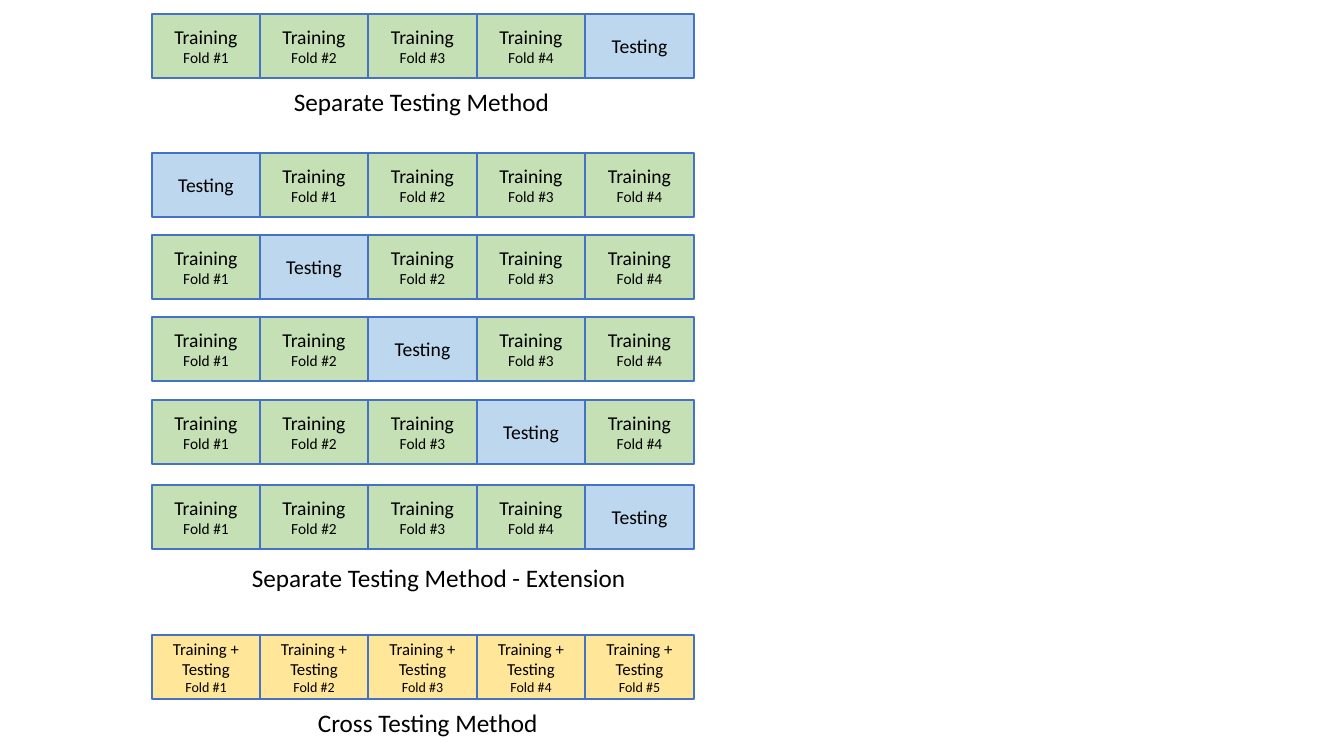
from pptx import Presentation
from pptx import util as u
from pptx.dml.color import RGBColor
from pptx.enum import shapes, text

GREEN, BLUE, YELLOW = "C5E0B4", "BDD7EE", "FFE699"
LEFT, ROW_WIDTH, ROW_HEIGHT, FOLDS = 152, 542, 64, 5


def px(n):
    return u.Emu(round(n * 914400 / 100.8))


def style(p, size):
    p.font.name = "Calibri"
    p.font.size = u.Pt(size)
    p.font.color.rgb = RGBColor.from_string("000000")


prs = Presentation()
prs.slide_width, prs.slide_height = px(1344), px(756)
s = prs.slides.add_slide(prs.slide_layouts[6])

rows = [(14, 4), (153, 0), (235, 1), (317, 2), (400, 3), (485, 4), (635, None)]
for top, test in rows:
    row = s.shapes.add_group_shape()
    fold = 0
    for i in range(FOLDS):
        if i == test:
            color, lines = BLUE, [("Testing", 14)]
        else:
            fold += 1
            if test is None:
                color, lines = YELLOW, [("Training + Testing", 12), (f"Fold #{fold}", 10)]
            else:
                color, lines = GREEN, [("Training", 14), (f"Fold #{fold}", 11)]
        x, right = [LEFT + ROW_WIDTH * k // FOLDS for k in (i, i + 1)]
        sp = row.shapes.add_shape(shapes.MSO_SHAPE.RECTANGLE,
                                  px(x), px(top), px(right - x), px(ROW_HEIGHT))
        sp.shadow.inherit = False
        sp.fill.solid()
        sp.fill.fore_color.rgb = RGBColor.from_string(color)
        sp.line.color.rgb = RGBColor.from_string("4472C4")
        sp.line.width = u.Pt(1)
        tf = sp.text_frame
        tf.vertical_anchor = text.MSO_ANCHOR.MIDDLE
        tf.text = "\n".join(line for line, size in lines)
        for p, (line, size) in zip(tf.paragraphs, lines):
            p.alignment = text.PP_ALIGN.CENTER
            style(p, size)

captions = [
    (284, 81, 278, "Separate Testing Method"),
    (242, 557, 398, "Separate Testing Method - Extension"),
    (308, 702, 243, "Cross Testing Method"),
]
for x, y, w, caption in captions:
    tf = s.shapes.add_textbox(px(x), px(y), px(w), px(40)).text_frame
    tf.word_wrap = False
    tf.auto_size = text.MSO_AUTO_SIZE.SHAPE_TO_FIT_TEXT
    tf.text = caption
    style(tf.paragraphs[0], 18)

prs.save("out.pptx")
